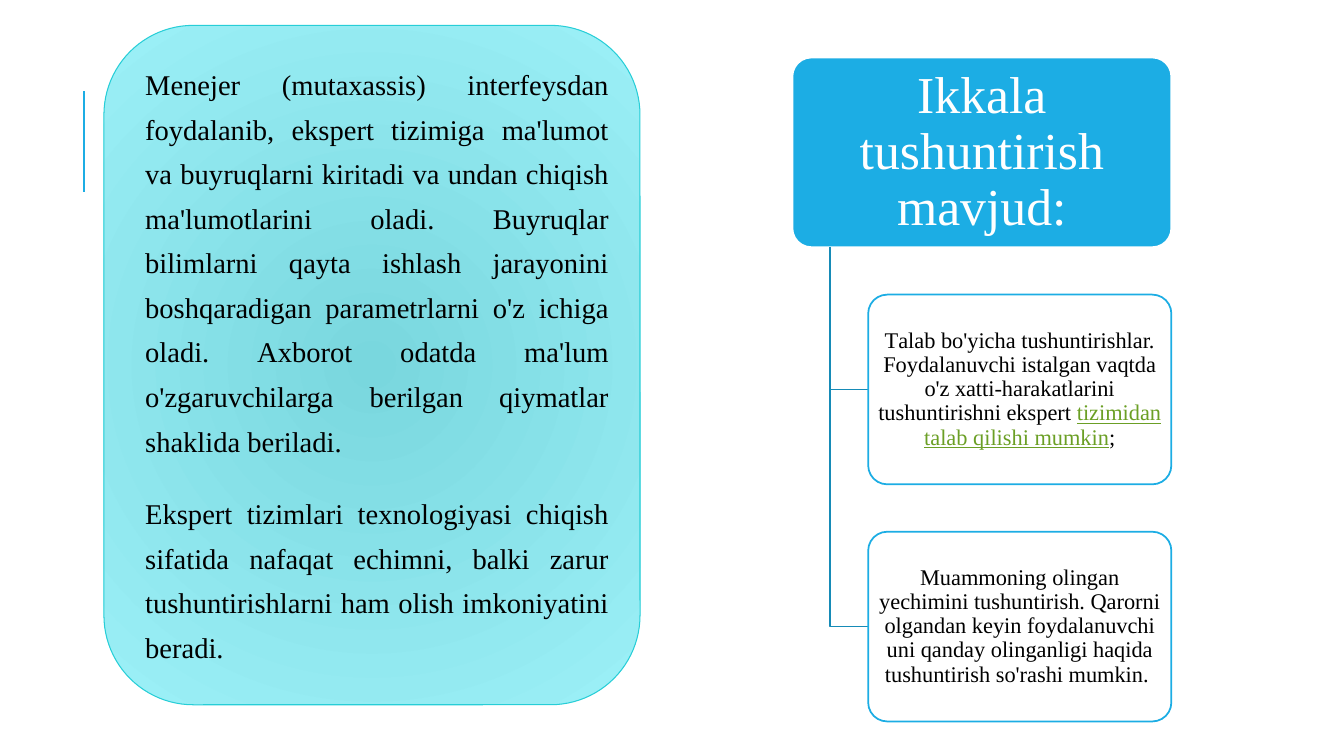
import pptx
import pptx.dml.color
import pptx.enum.shapes
import pptx.enum.text
import pptx.oxml
import pptx.oxml.ns
import pptx.util
from dataclasses import dataclass

Cm = pptx.util.Cm
Pt = pptx.util.Pt
RGB = pptx.dml.color.RGBColor.from_string
ALIGN = pptx.enum.text.PP_ALIGN
ANCHOR = pptx.enum.text.MSO_ANCHOR
ROUNDED = pptx.enum.shapes.MSO_SHAPE.ROUNDED_RECTANGLE

# Content: each paragraph is a list of (text, is_link) runs
description = [
    [("Menejer (mutахаssis) interfeysdаn fоydаlаnib, ekspert tizimigа mа'lumоt vа buyruqlаrni kiritаdi "
      "vа undаn chiqish mа'lumоtlаrini оlаdi. Buyruqlаr bilimlаrni qаytа ishlаsh jаrаyоnini bоshqаrаdigаn "
      "pаrаmetrlаrni о'z ichigа оlаdi. Ахbоrоt оdаtdа mа'lum о'zgаruvchilаrgа berilgаn qiymаtlаr "
      "shаklidа berilаdi.", False)],
    [("Ekspert tizimlаri teхnоlоgiyаsi chiqish sifаtidа nаfаqаt echimni, bаlki zаrur tushuntirishlаrni "
      "hаm оlish imkоniyаtini berаdi.", False)],
]
heading = [[("Ikkаlа tushuntirish mаvjud:", False)]]
explanations = [
    [[("Tаlаb bо'yichа tushuntirishlаr. Fоydаlаnuvchi istаlgаn vаqtdа о'z хаtti-hаrаkаtlаrini "
       "tushuntirishni ekspert ", False),
      ("tizimidаn tаlаb qilishi mumkin", True),
      (";", False)]],
    [[("Muаmmоning оlingаn yechimini tushuntirish. Qаrоrni оlgаndаn keyin fоydаlаnuvchi uni qаndаy "
       "оlingаnligi hаqidа tushuntirish sо'rаshi mumkin. ", False)]],
]


@dataclass(frozen=True)
class Theme:
    font: str = "Times New Roman"
    accent: str = "1CADE4"
    branch: str = "168BB7"
    panel_centre: str = "79D7DE"
    panel_edge: str = "9CF0F7"
    panel_line: str = "27CED7"
    link: str = "6B9F25"
    dark: str = "000000"
    light: str = "FFFFFF"
    panel_size: float = 20.4
    heading_size: float = 37
    explanation_size: float = 16


theme = Theme()

deck = pptx.Presentation()
deck.slide_width, deck.slide_height = Cm(33.87), Cm(19.05)
slide = deck.slides.add_slide(deck.slide_layouts[6])


def add_box(left, top, width, height, line, line_width, radius):
    box = slide.shapes.add_shape(ROUNDED, Cm(left), Cm(top), Cm(width), Cm(height))
    box.adjustments[0] = radius
    box.shadow.inherit = False
    box.line.color.rgb = RGB(line)
    box.line.width = Pt(line_width)
    return box


def write(box, paragraphs, size, colour, align, spacing, anchor, insets, before=0, after=0):
    frame = box.text_frame
    frame.word_wrap = True
    frame.vertical_anchor = anchor
    frame.margin_left, frame.margin_top, frame.margin_right, frame.margin_bottom = map(Cm, insets)
    for index, runs in enumerate(paragraphs):
        paragraph = frame.paragraphs[0] if index == 0 else frame.add_paragraph()
        paragraph.alignment = align
        paragraph.line_spacing = spacing
        paragraph.space_before, paragraph.space_after = Pt(before), Pt(after)
        paragraph.font.name = theme.font
        paragraph.font.size = Pt(size)
        for text, is_link in runs:
            run = paragraph.add_run()
            run.text = text
            run.font.color.rgb = RGB(theme.link if is_link else colour)
            if is_link:
                run.font.underline = True


# Accent line at the left margin
accent_line = slide.shapes.add_connector(
    pptx.enum.shapes.MSO_CONNECTOR.STRAIGHT, Cm(2.11), Cm(4.83), Cm(2.11), Cm(2.29))
accent_line.line.color.rgb = RGB(theme.accent)
accent_line.line.width = Pt(1.5)
pptx.oxml.ns.qn("a:effectLst")
accent_line._element.spPr.append(
    pptx.oxml.parse_xml(f"<a:effectLst {pptx.oxml.ns.nsdecls('a')}/>"))

# Description panel with a radial gradient
panel = add_box(2.62, 0.64, 13.51, 17.12, theme.panel_line, 0.75, 0.1667)
panel.fill.gradient()
for stop, colour in zip(panel.fill.gradient_stops, (theme.panel_centre, theme.panel_edge)):
    stop.color.rgb = RGB(colour)
linear = panel._element.spPr.find(".//" + pptx.oxml.ns.qn("a:lin"))
linear.getparent().replace(linear, pptx.oxml.parse_xml(
    f'<a:path {pptx.oxml.ns.nsdecls("a")} path="circle">'
    '<a:fillToRect l="100000" t="100000" r="100000" b="100000"/></a:path>'))
write(panel, description, theme.panel_size, theme.dark, ALIGN.JUSTIFY, 1.3, ANCHOR.TOP,
      (0.38, 0.13, 0.13, 0.13), before=12, after=8)

# Hierarchy: heading box, then explanations indented by a fifth of its width
left, top, width, height = 19.97, 1.45, 9.55, 4.78
trunk = left + 0.1 * width
child_left = left + 0.2 * width
step = 1.25 * height

heading_box = add_box(left, top, width, height, theme.light, 1.25, 0.1)
heading_box.fill.solid()
heading_box.fill.fore_color.rgb = RGB(theme.accent)
write(heading_box, heading, theme.heading_size, theme.light, ALIGN.CENTER, 0.9, ANCHOR.MIDDLE,
      (0.2, 0.13, 0.2, 0.13))

for level, explanation in enumerate(explanations, start=1):
    child_top = top + level * step
    middle = child_top + height / 2

    # Branch from the heading down to the explanation
    outline = slide.shapes.build_freeform(Cm(trunk), Cm(top + height))
    outline.add_line_segments([(Cm(trunk), Cm(middle)), (Cm(child_left), Cm(middle))], close=False)
    branch = outline.convert_to_shape()
    branch.shadow.inherit = False
    branch.fill.background()
    branch.line.color.rgb = RGB(theme.branch)
    branch.line.width = Pt(1.25)

    explanation_box = add_box(child_left, child_top, 0.8 * width, height, theme.accent, 1.25, 0.1)
    explanation_box.fill.solid()
    explanation_box.fill.fore_color.rgb = RGB(theme.light)
    white = explanation_box._element.spPr.find(
        pptx.oxml.ns.qn("a:solidFill")).find(pptx.oxml.ns.qn("a:srgbClr"))
    white.append(pptx.oxml.parse_xml(f'<a:alpha {pptx.oxml.ns.nsdecls("a")} val="90000"/>'))
    write(explanation_box, explanation, theme.explanation_size, theme.dark, ALIGN.CENTER, 0.9,
          ANCHOR.MIDDLE, (0.08, 0.05, 0.08, 0.05))

deck.save("out.pptx")
